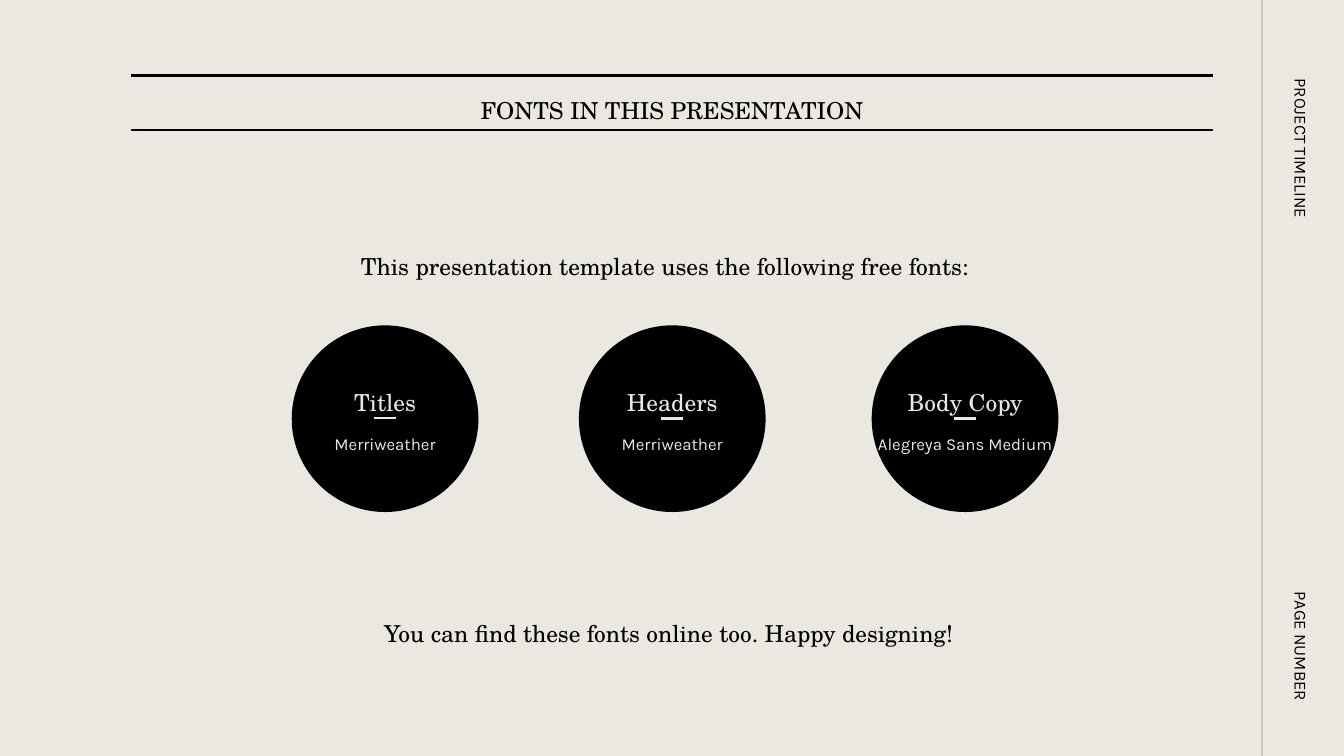
from dataclasses import dataclass

from lxml import etree
from pptx import Presentation
from pptx.dml.color import RGBColor
from pptx.enum.shapes import MSO_CONNECTOR, MSO_SHAPE
from pptx.enum.text import MSO_ANCHOR, MSO_AUTO_SIZE, PP_ALIGN
from pptx.oxml.ns import qn
from pptx.util import Pt

STRAIGHT = MSO_CONNECTOR.STRAIGHT
OVAL = MSO_SHAPE.OVAL
TOP = MSO_ANCHOR.TOP
NO_FIT = MSO_AUTO_SIZE.NONE
CENTER, RIGHT = PP_ALIGN.CENTER, PP_ALIGN.RIGHT


@dataclass(frozen=True)
class Theme:
    paper: RGBColor = RGBColor(0xEB, 0xE8, 0xE2)
    ink: RGBColor = RGBColor(0, 0, 0)
    rule: RGBColor = RGBColor(0xCF, 0xC9, 0xBD)
    serif: str = "TeX Gyre Schola"
    sans: str = "Karla"
    heading: float = 25
    label: float = 25.1
    small: float = 18
    line: float = 2.25


THEME = Theme()


def write(sp, text, font, size, color, spacing=1.45, align=CENTER):
    tf = sp.text_frame
    tf.margin_left = tf.margin_top = tf.margin_right = tf.margin_bottom = 0
    tf.auto_size = NO_FIT
    tf.word_wrap = True
    tf.vertical_anchor = TOP
    tf.text = text
    p = tf.paragraphs[0]
    p.alignment = align
    p.line_spacing = spacing
    r = p.runs[0]
    r.font.name = font
    r.font.size = Pt(size)
    r.font.color.rgb = color


def add_text(s, x, y, w, h, *style, **options):
    sp = s.shapes.add_textbox(Pt(x), Pt(y), Pt(w), Pt(h))
    write(sp, *style, **options)
    return sp


def add_line(s, x1, y1, x2, y2, color, width=THEME.line):
    line = s.shapes.add_connector(STRAIGHT, Pt(x1), Pt(y1), Pt(x2), Pt(y2))
    line.line.color.rgb = color
    line.line.width = Pt(width)
    etree.SubElement(line._element.spPr, qn("a:effectLst"))


def header(s, x, y, w, h, text):
    """Title between two full-width rules."""
    for rule_y in (y, y + h):
        add_line(s, x, rule_y, x + w, rule_y, THEME.ink)
    title = s.shapes.title
    title.left, title.top = Pt(x + 264), Pt(y + 16.5)
    title.width, title.height = Pt(w - 528), Pt(30)
    write(title, text, THEME.serif, THEME.heading, THEME.ink, spacing=1.2)


def font_circle(s, x, y, d, role, font_name, text_w, dash_w):
    """Black disc with a role, a short dash and a font name."""
    disc = s.shapes.add_shape(OVAL, Pt(x), Pt(y), Pt(d), Pt(d))
    disc.shadow.inherit = False
    disc.fill.solid()
    disc.fill.fore_color.rgb = THEME.ink
    disc.line.fill.background()
    mid = x + d / 2
    add_line(s, mid - 11.75, y + 99.5, mid + 11.75, y + 99.5, THEME.paper, dash_w)
    left = mid - text_w / 2
    add_text(s, left, y + 54, text_w, 30, role, THEME.serif, THEME.label, THEME.paper)
    add_text(s, left, y + 106, text_w, 21.6, font_name, THEME.sans, THEME.small, THEME.paper)


def sidebar(s, x, y, w, h, labels):
    """Vertical rule with rotated labels, each given by its centre height."""
    add_line(s, x, y, x, y + h, THEME.rule)
    label_w, label_h = 175, 21.6
    for text, mid_y in labels:
        sp = add_text(s, x + (w - label_w) / 2, y + mid_y - label_h / 2, label_w, label_h,
                      text, THEME.sans, THEME.small, THEME.ink, spacing=1.2, align=RIGHT)
        sp.rotation = 90


def main():
    prs = Presentation()
    prs.slide_width, prs.slide_height = Pt(1440), Pt(810)
    s = prs.slides.add_slide(prs.slide_layouts[5])
    s.background.fill.solid()
    s.background.fill.fore_color.rgb = THEME.paper

    header(s, 140.4, 80.9, 1159.2, 58.6, "FONTS IN THIS PRESENTATION")

    # Introduction
    add_text(s, 188, 256.3, 1049, 30, "This presentation template uses the following free fonts:",
             THEME.serif, THEME.label, THEME.ink)

    # Font samples: left edge, role, font, text width, dash weight
    for x, *sample in (
        (312.6, "Titles", "Merriweather", 144, 2.25),
        (620.3, "Headers", "Merriweather", 144, 3),
        (934, "Body Copy", "Alegreya Sans Medium", 213, 3),
    ):
        font_circle(s, x, 348.6, 200, *sample)

    # Closing line
    add_text(s, 144.5, 652.3, 1143.4, 30, "You can find these fonts online too. Happy designing!",
             THEME.serif, THEME.heading, THEME.ink, spacing=1.37)

    sidebar(s, 1352.2, 0, 92.8, 810, (("PAGE NUMBER", 663.8), ("PROJECT TIMELINE", 146.2)))

    prs.save("out.pptx")


if __name__ == "__main__":
    main()
